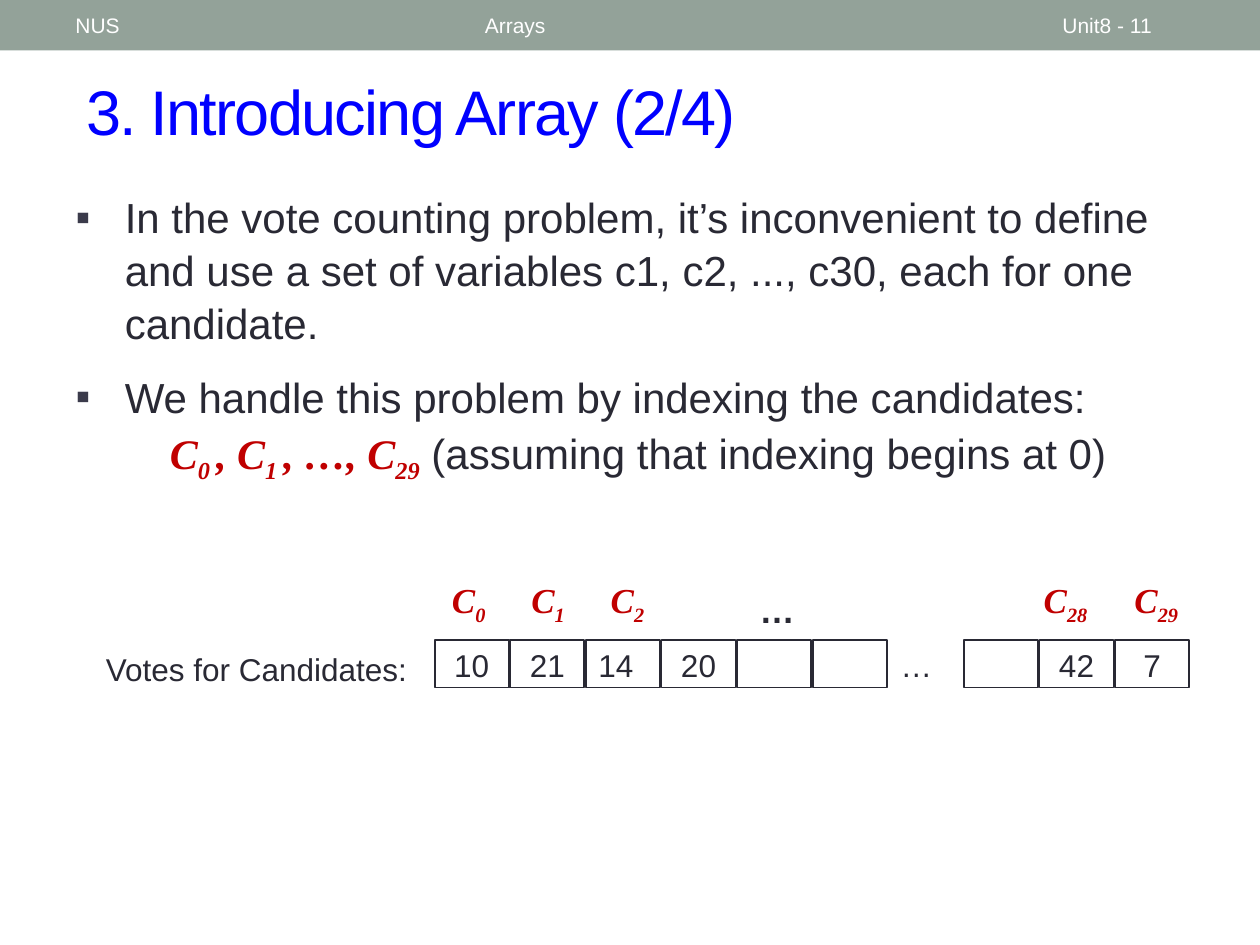
from dataclasses import dataclass

from lxml import etree
from pptx import Presentation
from pptx.dml.color import RGBColor
from pptx.enum.shapes import MSO_SHAPE
from pptx.enum.text import MSO_ANCHOR, MSO_AUTO_SIZE, PP_ALIGN
from pptx.oxml.ns import qn
from pptx.util import Inches, Pt

RECTANGLE = MSO_SHAPE.RECTANGLE
TOP, MIDDLE = MSO_ANCHOR.TOP, MSO_ANCHOR.MIDDLE
LEFT, CENTER, RIGHT = PP_ALIGN.LEFT, PP_ALIGN.CENTER, PP_ALIGN.RIGHT
NO_FIT = MSO_AUTO_SIZE.NONE


@dataclass(frozen=True)
class Theme:
    """Colours, fonts and type sizes of the slide."""
    bar: str = "93A299"
    white: str = "FFFFFF"
    title: str = "0000FF"
    ink: str = "292934"
    bullet: str = "3B3B4B"
    symbol: str = "C00000"
    sans: str = "Arial"
    serif: str = "Times New Roman"
    title_size: int = 36
    body_size: int = 24
    label_size: int = 20
    cell_size: int = 18
    header_size: int = 12


@dataclass(frozen=True)
class Grid:
    """A region with its origin and the size of one column and one row."""
    left: float
    top: float
    column: float
    row: float

    def box(self, column, row, columns, rows):
        """Return left, top, width and height of a block of the grid."""
        return (Inches(self.left + column * self.column),
                Inches(self.top + row * self.row),
                Inches(columns * self.column), Inches(rows * self.row))


THEME = Theme()
PAGE_GRID = Grid(0, 0, 10 / 120, 7.5 / 90)
ARRAY_GRID = Grid(3.45, 4.54, 0.6, 0.54)


def style(span, size, color=THEME.ink, face=THEME.sans, bold=False, italic=False):
    """Format one run."""
    font = span.font
    font.size, font.name = Pt(size), face
    font.bold, font.italic = bold, italic
    font.color.rgb = RGBColor.from_string(color)


def write(shape, text, size, color=THEME.ink, align=LEFT, anchor=TOP, bold=False):
    """Fill a shape with one evenly formatted paragraph."""
    frame = shape.text_frame
    frame.text = text
    frame.word_wrap = True
    frame.auto_size = NO_FIT
    frame.vertical_anchor = anchor
    para = frame.paragraphs[0]
    para.alignment = align
    for span in para.runs:
        style(span, size, color, bold=bold)
    return para


def add_symbols(para, pieces, size):
    """Add bold italic symbols, each a base text followed by its subscript."""
    for base, subscript in pieces:
        for text, offset in ((base, None), (subscript, "-25000")):
            span = para.add_run()
            span.text = text
            style(span, size, THEME.symbol, THEME.serif, True, True)
            if offset:
                span.font._element.set("baseline", offset)


def add_bullet(para, mark, color):
    """Give a paragraph a hanging coloured bullet."""
    properties = para._p.get_or_add_pPr()
    properties.set("marL", str(Inches(0.39)))
    properties.set("indent", str(-Inches(0.39)))
    bullet_color = etree.SubElement(properties, qn("a:buClr"))
    etree.SubElement(bullet_color, qn("a:srgbClr")).set("val", color)
    etree.SubElement(properties, qn("a:buFont")).set("typeface", THEME.sans)
    etree.SubElement(properties, qn("a:buChar")).set("char", mark)


def place(shape, box):
    """Move and size a placeholder."""
    shape.left, shape.top, shape.width, shape.height = box


def add_header(page, grid):
    """Draw the top bar with its three texts."""
    bar = page.shapes.add_shape(RECTANGLE, *grid.box(0, 0, 120, 4.8))
    bar.shadow.inherit = False
    bar.fill.solid()
    bar.fill.fore_color.rgb = RGBColor.from_string(THEME.bar)
    bar.line.fill.background()
    for text, column, columns in (("NUS", 6, 38), ("Arrays", 45, 54), ("Unit8 - 11", 100, 14)):
        box = page.shapes.add_textbox(*grid.box(column, 0.25, columns, 4.3))
        write(box, text, THEME.header_size, THEME.white, anchor=MIDDLE)


def add_title(page, grid):
    """Fill the title placeholder."""
    title = page.shapes.title
    place(title, grid.box(7, 5, 110, 11))
    para = write(title, "3. Introducing Array (2/4)", THEME.title_size, THEME.title, anchor=MIDDLE)
    para.runs[0].font._element.set("spc", "-100")


def add_body(page, grid):
    """Fill the bulleted list and the line of indexed symbols below it."""
    body = page.placeholders[1]
    place(body, grid.box(6, 17.4, 105.1, 24.8))
    frame = body.text_frame
    frame.text = "\n".join((
        "In the vote counting problem, it’s inconvenient to define and use a set of "
        "variables c1, c2, ..., c30, each for one candidate.",
        "We handle this problem by indexing the candidates:"))
    frame.auto_size = NO_FIT
    for index, para in enumerate(frame.paragraphs):
        add_bullet(para, "▪", THEME.bullet)
        para.line_spacing = 1.05
        para.space_before = Pt(12 if index else 0)
        style(para.runs[0], THEME.body_size)

    formula = page.shapes.add_textbox(*grid.box(15, 40.1, 95, 6))
    formula.text_frame.word_wrap = True
    para = formula.text_frame.paragraphs[0]
    add_symbols(para, (("C", "0 "), (", C", "1 "), (", …, C", "29")), THEME.body_size)
    span = para.add_run()
    span.text = " (assuming that indexing begins at 0)"
    style(span, THEME.body_size)


def add_array(page, grid):
    """Draw the array of votes with its index labels and caption."""
    shapes = page.shapes.add_group_shape().shapes
    votes = ("10", "21", "14", "20", "", "", "…", "", "42", "7")
    for column, vote in enumerate(votes):
        box = grid.box(column, 1, 0.98, 0.7)
        if vote == "…":
            write(shapes.add_textbox(*box), vote, THEME.cell_size)
            continue
        cell = shapes.add_shape(RECTANGLE, *box)
        cell.shadow.inherit = False
        cell.fill.background()
        cell.line.color.rgb = RGBColor.from_string(THEME.ink)
        cell.line.width = Pt(1)
        if vote:
            write(cell, vote, THEME.cell_size, align=LEFT if vote == "14" else CENTER)

    labels = (("0", 0, 0.9), ("1", 1.05, 0.9), ("2", 2.1, 0.9), ("28", 7.78, 1.13), ("29", 8.98, 1.13))
    for number, column, columns in labels:
        label = shapes.add_textbox(*grid.box(column, 0, columns, 0.82))
        label.text_frame.word_wrap = True
        para = label.text_frame.paragraphs[0]
        para.alignment = CENTER
        add_symbols(para, (("C", number),), THEME.label_size)

    dots = shapes.add_textbox(*grid.box(4.08, 0.15, 0.9, 0.82))
    write(dots, "…", THEME.label_size, align=CENTER, bold=True)
    caption = shapes.add_textbox(*grid.box(-4.55, 1.06, 4.35, 0.74))
    write(caption, "Votes for Candidates:", THEME.cell_size, align=RIGHT)
    caption.text_frame.word_wrap = False


def main():
    """Build and save the deck."""
    deck = Presentation()
    deck.slide_width, deck.slide_height = Inches(10), Inches(7.5)
    page = deck.slides.add_slide(deck.slide_layouts[1])
    add_header(page, PAGE_GRID)
    add_title(page, PAGE_GRID)
    add_body(page, PAGE_GRID)
    add_array(page, ARRAY_GRID)
    deck.save("out.pptx")


if __name__ == "__main__":
    main()
